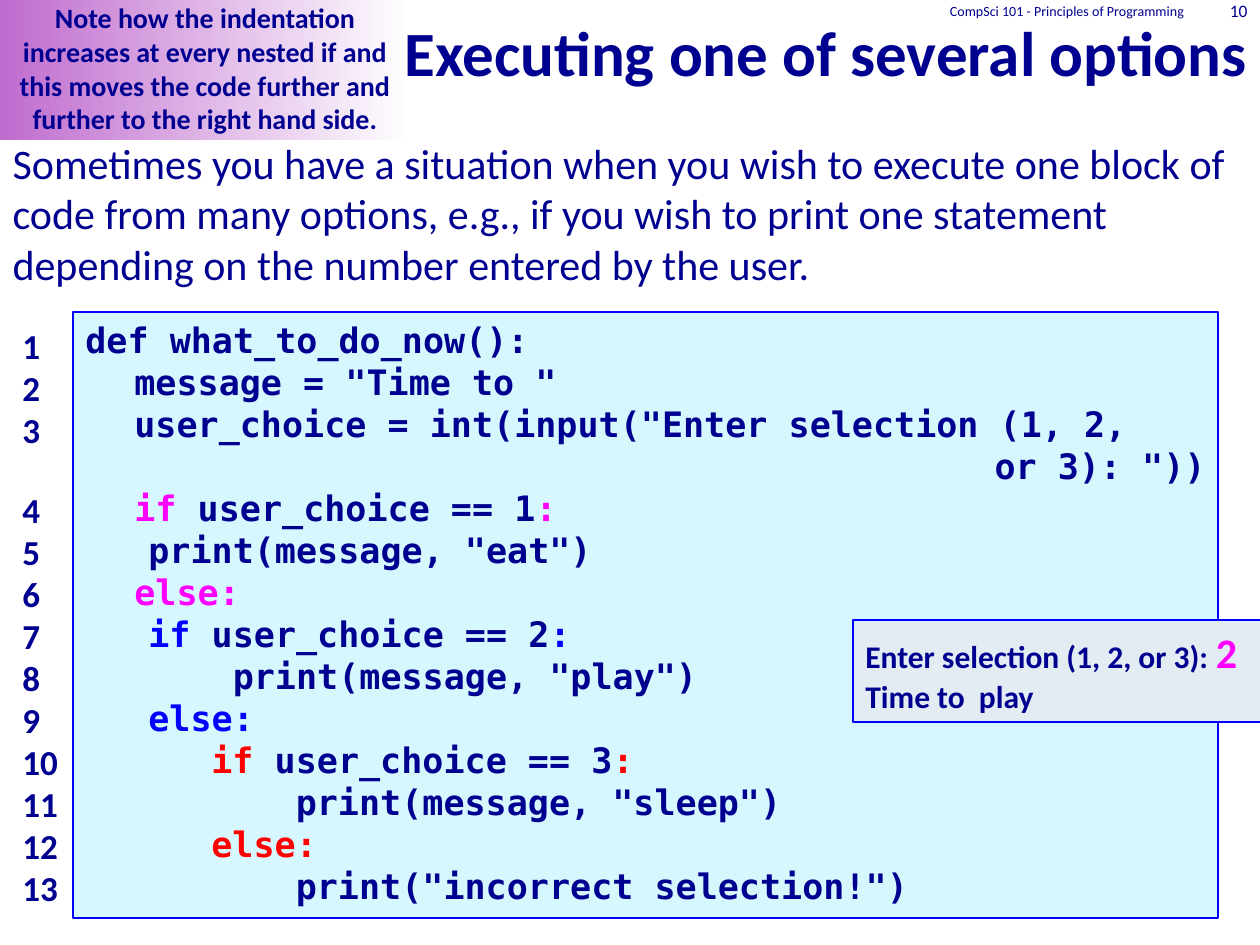
from lxml.etree import SubElement
from pptx import Presentation
from pptx.dml.color import RGBColor
from pptx.enum.shapes import MSO_SHAPE as Preset
from pptx.enum.text import MSO_ANCHOR as Anchor, MSO_AUTO_SIZE as AutoSize, PP_ALIGN as Align
from pptx.oxml.ns import qn
from pptx.util import Emu, Inches, Pt

PX = Inches(1) / 126
COLORS = {
    "navy": "000090", "blue": "0000FF", "magenta": "FF00FF", "red": "FF0000",
    "code_fill": "D7F7FF", "output_fill": "E3EBF3", "note": "BF6CCE", "white": "FFFFFF",
}
BODY = (
    "Sometimes you have a situation when you wish to execute one block of code from many "
    "options, e.g., if you wish to print one statement depending on the number entered by the user."
)
NOTE = (
    "Note how the indentation increases at every nested if and this moves the code further "
    "and further to the right hand side."
)


def px(length):
    """Turn whole px into EMU."""
    return Emu(round(length * PX))


def color(name):
    """Look up a named colour."""
    return RGBColor.from_string(COLORS[name])


def apply(target, values):
    """Set every attribute in a dict of format values."""
    for name, value in values.items():
        setattr(target, name, value)


def place(shape, box):
    """Move and size a shape, given its box in px."""
    apply(shape, dict(zip(("left", "top", "width", "height"), map(px, box))))


def write(shape, lines, size, bold=False, font="Calibri", anchor=Anchor.TOP, tab=None, **layout):
    """Fill a shape with lines of (text, format) runs."""
    frame = shape.text_frame
    apply(frame, {"word_wrap": True, "auto_size": AutoSize.NONE, "vertical_anchor": anchor})
    for index, runs in enumerate(lines):
        paragraph = frame.paragraphs[0] if index == 0 else frame.add_paragraph()
        apply(paragraph, {"alignment": Align.LEFT, "space_before": Pt(0), **layout})
        if tab:
            stops = SubElement(paragraph._p.get_or_add_pPr(), qn("a:tabLst"))
            SubElement(stops, qn("a:tab"), pos=str(px(tab)), algn="l")
        for text, changes in runs:
            run = paragraph.add_run()
            run.text = text
            values = {"size": size, "color": "navy", **changes}
            apply(run.font, {"name": font, "size": Pt(values["size"]), "bold": bold})
            run.font.color.rgb = color(values["color"])
    return frame


def plain(text):
    """Make a line with one unchanged run."""
    return [(text, {})]


def add_text(slide, box, lines, size, **options):
    """Add a text box."""
    return write(slide.shapes.add_textbox(*map(px, box)), lines, size, **options)


def add_panel(slide, box, fill=None):
    """Add a rectangle, outlined in blue when it has a solid fill."""
    shape = slide.shapes.add_shape(Preset.RECTANGLE, *map(px, box))
    shape.shadow.inherit = False
    if fill:
        shape.fill.solid()
        shape.fill.fore_color.rgb = color(fill)
        shape.line.color.rgb = color("blue")
        shape.line.width = Pt(0.75)
    else:
        shape.line.fill.background()
    return shape


def add_note(slide):
    """Add the fading note in the top left corner."""
    note = add_panel(slide, (0, 0, 410, 140))
    note.fill.gradient()
    note.fill.gradient_angle = 0
    for stop, name in zip(note.fill.gradient_stops, ("note", "white")):
        stop.color.rgb = color(name)
    frame = write(note, [plain(NOTE)], 16, bold=True, alignment=Align.CENTER)
    apply(frame, {"margin_left": px(5), "margin_right": px(5), "margin_top": px(1), "margin_bottom": px(1)})


def add_title(slide):
    """Fill the title placeholder and bring it in front of the note."""
    title = slide.shapes.title
    place(title, (0, 0, 1260, 95))
    write(title, [plain("Executing one of several options")], 36, bold=True,
          anchor=Anchor.BOTTOM, alignment=Align.RIGHT)
    slide.shapes.element.append(title.element)


def add_body(slide):
    """Fill the body placeholder, without a bullet."""
    body = slide.placeholders[1]
    place(body, (0, 131, 1260, 646))
    frame = write(body, [plain(BODY)], 24)
    properties = frame.paragraphs[0]._p.get_or_add_pPr()
    properties.set("marL", "0")
    properties.set("indent", "0")
    SubElement(properties, qn("a:buNone"))


def branch(depth, number, name):
    """Make an if line with its keyword and colon coloured."""
    mark = {"color": name}
    return [("\t" * depth, {}), ("if ", mark), (f"user_choice == {number}", {}), (":", mark)]


def otherwise(depth, name):
    """Make a coloured else line."""
    return [("\t" * depth, {}), ("else:", {"color": name})]


def add_code(slide):
    """Add the listing and its line numbers."""
    lines = [
        plain("def what_to_do_now():"),
        plain('\tmessage = "Time to "'),
        plain('\tuser_choice = int(input("Enter selection (1, 2,'),
        plain('or 3): "))'),
        branch(1, 1, "magenta"),
        plain('\t\tprint(message, "eat")'),
        otherwise(1, "magenta"),
        branch(2, 2, "blue"),
        plain('\t\t    print(message, "play")'),
        otherwise(2, "blue"),
        branch(3, 3, "red"),
        plain('\t\t\t    print(message, "sleep")'),
        otherwise(3, "red"),
        plain('\t\t\t    print("incorrect selection!")'),
    ]
    panel = add_panel(slide, (73, 312, 1145, 606), "code_fill")
    frame = write(panel, lines, 20, bold=True, font="DejaVu Sans Mono", tab=49, line_spacing=Pt(24))
    frame.paragraphs[3].alignment = Align.RIGHT
    numbers = [plain(str(number)) for number in range(1, 14)]
    frame = add_text(slide, (10, 318, 136, 606), numbers, 20, bold=True, line_spacing=Pt(24))
    frame.paragraphs[3].space_before = Pt(22)


def add_output(slide):
    """Add the sample output."""
    lines = [
        [("Enter selection (1, 2, or 3): ", {}), ("2", {"size": 24, "color": "magenta"})],
        plain("Time to  play"),
    ]
    write(add_panel(slide, (853, 620, 410, 102), "output_fill"), lines, 18, bold=True)


def main():
    """Build and save the slide."""
    presentation = Presentation()
    apply(presentation, {"slide_width": px(1260), "slide_height": px(945)})
    slide = presentation.slides.add_slide(presentation.slide_layouts[1])
    add_body(slide)
    add_code(slide)
    corner = {"anchor": Anchor.MIDDLE, "alignment": Align.RIGHT}
    add_text(slide, (777, -21, 420, 63), [plain("CompSci 101 - Principles of Programming")], 8, **corner)
    add_text(slide, (1187, 0, 73, 21), [plain("10")], 10, **corner)
    add_note(slide)
    add_title(slide)
    add_output(slide)
    presentation.save("out.pptx")


if __name__ == "__main__":
    main()
